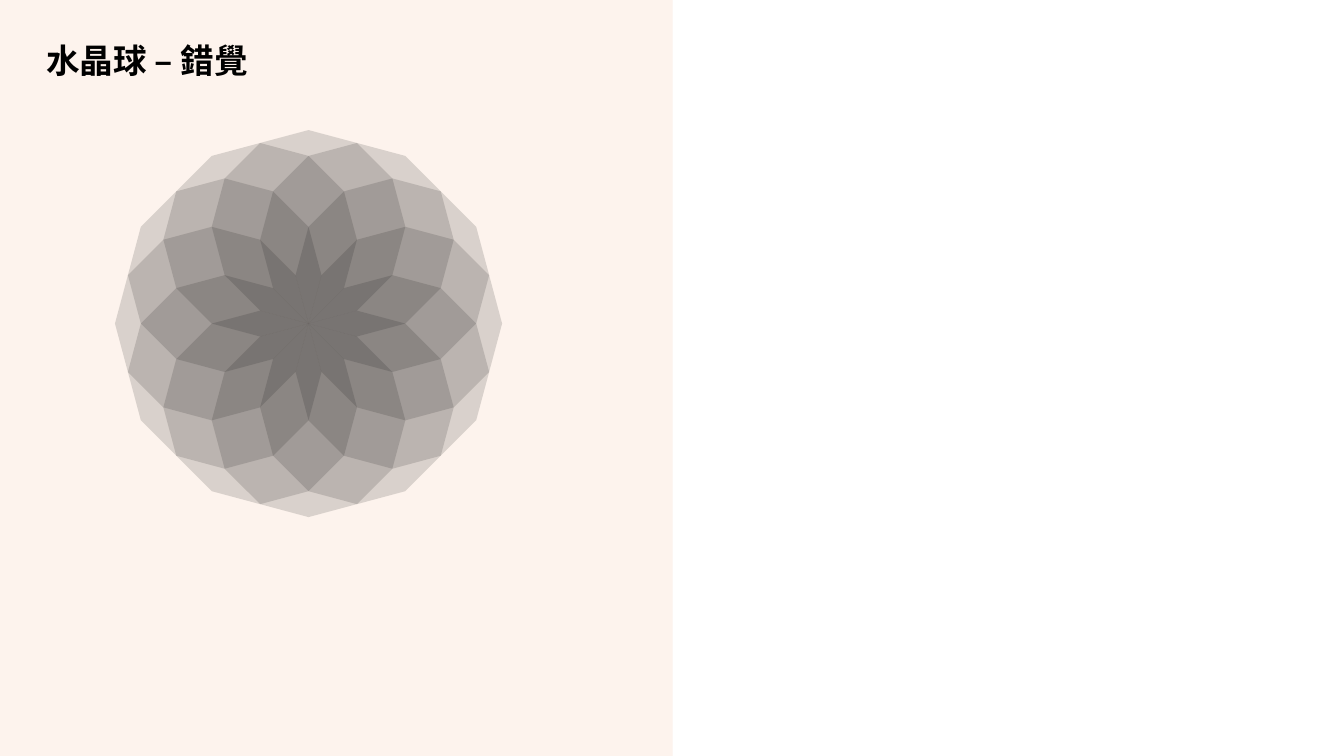
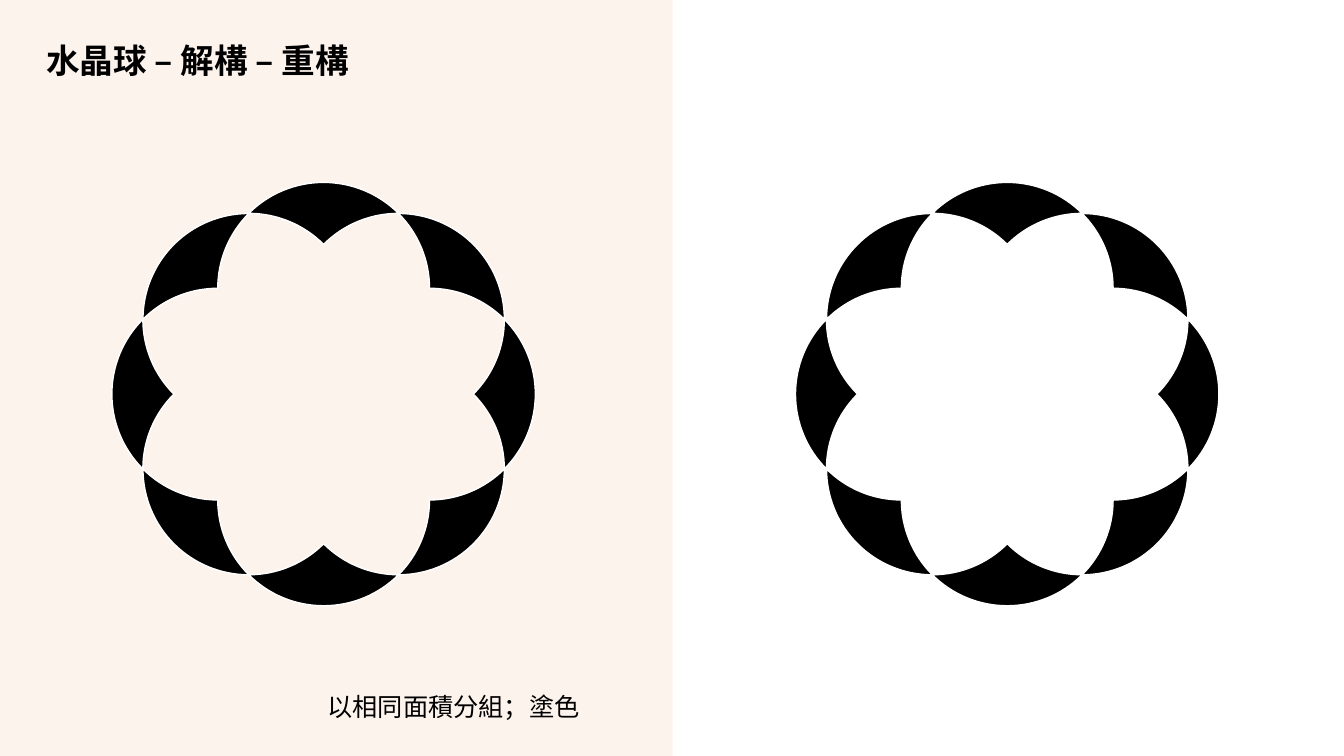
"""Build two slides on the crystal ball pattern: its illusion and its regrouped petals."""
import math

import lxml.etree
import pptx
import pptx.dml.color
import pptx.enum.shapes
import pptx.enum.text
import pptx.oxml.ns
import pptx.util

Inches = pptx.util.Inches
qn = pptx.oxml.ns.qn
HEADING_FONT = "Noto Sans CJK SC"
CAPTION_FONT = "Times New Roman"
BLACK, WHITE, CHARCOAL = "000000", "FFFFFF", "111111"
PEACH, PALE_PEACH = "F4B183", "FBE5D6"


def colour(value):
    return pptx.dml.color.RGBColor.from_string(value)


def set_opacity(shape, percent):
    color_element = next(shape.element.iter(qn("a:srgbClr")))
    lxml.etree.SubElement(color_element, qn("a:alpha"), val=str(percent * 1000))


presentation = pptx.Presentation()
presentation.slide_width = Inches(13.33)
presentation.slide_height = Inches(7.5)
layout = presentation.slide_layouts[5]
title_holder = layout.placeholders[0]
title_holder.left, title_holder.top = Inches(0.36), Inches(0.4)
title_holder.width, title_holder.height = Inches(5.95), Inches(0.44)

illusion_slide = presentation.slides.add_slide(layout)
petal_slide = presentation.slides.add_slide(layout)

band = illusion_slide.shapes.add_shape(
    pptx.enum.shapes.MSO_SHAPE.RECTANGLE, 0, 0, Inches(6.67), Inches(7.5))
band.shadow.inherit = False
band.fill.solid()
band.fill.fore_color.rgb = colour(PEACH)
band.line.fill.background()
set_opacity(band, 14)

divider = illusion_slide.shapes.add_connector(
    pptx.enum.shapes.MSO_CONNECTOR.STRAIGHT, Inches(6.67), Inches(7.5), Inches(6.67), 0)
divider.line.color.rgb = colour(PALE_PEACH)
divider.line.width = pptx.util.Pt(0.25)
set_opacity(divider, 50)
lxml.etree.SubElement(divider.element.spPr, qn("a:effectLst"))

layout.shapes.element.insert(2, band.element)
layout.shapes.element.insert(3, divider.element)

caption = petal_slide.shapes.add_textbox(Inches(3.15), Inches(6.81), Inches(3.38), Inches(0.4))
texts = [
    (illusion_slide.shapes.title, "水晶球 – 錯覺", 24, HEADING_FONT, True, 0.9),
    (petal_slide.shapes.title, "水晶球 – 解構 – 重構", 24, HEADING_FONT, True, 0.9),
    (caption, "以相同面積分組；塗色", 18, CAPTION_FONT, False, 1.0),
]
for shape, text, size, font_name, bold, spacing in texts:
    shape.text_frame.word_wrap = True
    if bold:
        shape.text_frame.vertical_anchor = pptx.enum.text.MSO_ANCHOR.MIDDLE
    paragraph = shape.text_frame.paragraphs[0]
    paragraph.alignment = pptx.enum.text.PP_ALIGN.LEFT
    paragraph.line_spacing = spacing
    run = paragraph.add_run()
    run.text = text
    run.font.size = pptx.util.Pt(size)
    run.font.bold = bold
    run.font.name = font_name
    run.font.color.rgb = colour(BLACK)
    for properties in shape.element.iter(qn("a:rPr")):
        lxml.etree.SubElement(properties, qn("a:ea"), typeface=HEADING_FONT)

outlines = []

ball_x, ball_y, polygon_radius = 3.06, 3.21, 0.96
corners = [(polygon_radius * math.cos(math.radians(angle)),
            polygon_radius * math.sin(math.radians(angle))) for angle in range(0, 360, 30)]
for shift_x, shift_y in corners:
    points = [(ball_x + shift_x + x, ball_y + shift_y + y) for x, y in corners]
    outlines.append((illusion_slide, points, CHARCOAL))

flower_y, circle_radius = 3.91, 1.05
petal_arcs = [(0, -45, 0), (0, 0, 45), (45, 0, -45), (-45, 45, 0)]
for flower_x in (3.21, 9.99):
    for direction in range(0, 360, 45):
        points = []
        for circle_turn, start_turn, end_turn in petal_arcs:
            circle, start, end = (math.radians(direction + turn)
                                  for turn in (circle_turn, start_turn, end_turn))
            handle = 4 / 3 * math.tan((end - start) / 4)
            for angle, pull in ((start, 0), (start, handle), (end, -handle), (end, 0)):
                x = math.cos(circle) + math.cos(angle) - pull * math.sin(angle)
                y = math.sin(circle) + math.sin(angle) + pull * math.cos(angle)
                if pull or angle == end or not points:
                    points.append((flower_x + circle_radius * x, flower_y + circle_radius * y))
        outlines.append((petal_slide, points, BLACK))

for slide, points, fill in outlines:
    corner_points = [(Inches(x), Inches(y)) for x, y in points]
    builder = slide.shapes.build_freeform(*corner_points[0])
    builder.add_line_segments(corner_points[1:], close=slide is illusion_slide)
    shape = builder.convert_to_shape()
    shape.shadow.inherit = False
    shape.fill.solid()
    shape.fill.fore_color.rgb = colour(fill)
    if slide is illusion_slide:
        shape.line.fill.background()
        set_opacity(shape, 15)
    else:
        shape.line.color.rgb = colour(WHITE)
        shape.line.width = pptx.util.Pt(1)
        outline = next(shape.element.iter(qn("a:path")))
        segments = outline.findall(qn("a:lnTo"))
        for first in range(0, len(segments), 3):
            curve = lxml.etree.SubElement(outline, qn("a:cubicBezTo"))
            for segment in segments[first:first + 3]:
                curve.append(segment[0])
                outline.remove(segment)
        lxml.etree.SubElement(outline, qn("a:close"))

presentation.save("out.pptx")
